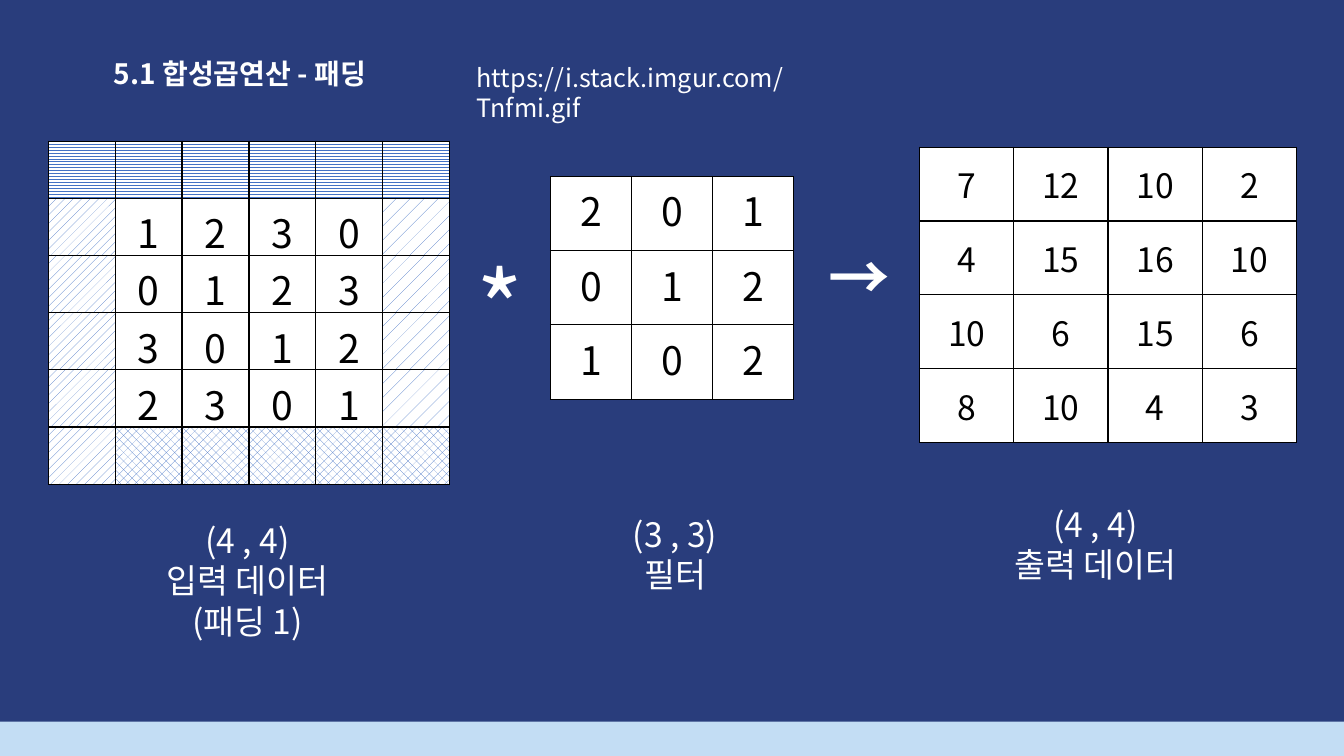
from dataclasses import dataclass
from typing import Optional

import lxml.etree
import pptx
import pptx.dml.color
import pptx.enum.dml
import pptx.enum.shapes
import pptx.enum.text
import pptx.oxml.ns
import pptx.util

EMU_PER_PX = 9144
FONT = "Noto Sans CJK KR"
COLORS = {
    "navy": "293D7C",
    "sky": "C3DDF4",
    "white": "FFFFFF",
    "black": "000000",
    "hatch": "4472C4",
}
PATTERN = pptx.enum.dml.MSO_PATTERN
ALIGN = pptx.enum.text.PP_ALIGN
ANCHOR = pptx.enum.text.MSO_ANCHOR


@dataclass(frozen=True)
class Box:
    left: int
    top: int
    width: int
    height: int


@dataclass(frozen=True)
class Label:
    box: Box
    lines: tuple[str, ...]
    size: int
    bold: bool = False
    align: Optional[ALIGN] = None


@dataclass(frozen=True)
class Matrix:
    box: Box
    rows: list[list[str]]
    size: int
    anchor: ANCHOR = ANCHOR.TOP
    padded: bool = False


def px(length: int) -> pptx.util.Emu:
    return pptx.util.Emu(length * EMU_PER_PX)


def rgb(name: str) -> pptx.dml.color.RGBColor:
    return pptx.dml.color.RGBColor.from_string(COLORS[name])


def frame(box: Box) -> tuple[pptx.util.Emu, ...]:
    return px(box.left), px(box.top), px(box.width), px(box.height)


def style(paragraph, size: int, color: str, bold: bool, align: Optional[ALIGN]) -> None:
    paragraph.alignment = align
    paragraph.font.size = pptx.util.Pt(size)
    paragraph.font.bold = bold
    paragraph.font.color.rgb = rgb(color)
    paragraph.font.name = FONT
    latin = paragraph._p.pPr.find(".//" + pptx.oxml.ns.qn("a:latin"))
    east_asian = lxml.etree.Element(pptx.oxml.ns.qn("a:ea"), typeface=FONT)
    latin.addnext(east_asian)


def draw_label(slide, label: Label) -> None:
    text = slide.shapes.add_textbox(*frame(label.box)).text_frame
    text.word_wrap = True
    text.auto_size = pptx.enum.text.MSO_AUTO_SIZE.SHAPE_TO_FIT_TEXT
    text.text = "\n".join(label.lines)
    for paragraph in text.paragraphs:
        style(paragraph, label.size, "white", label.bold, label.align)


def add_borders(cell) -> None:
    properties = cell._tc.get_or_add_tcPr()
    for side in ("lnL", "lnR", "lnT", "lnB"):
        line = lxml.etree.SubElement(properties, pptx.oxml.ns.qn(f"a:{side}"), w="12700")
        solid = lxml.etree.SubElement(line, pptx.oxml.ns.qn("a:solidFill"))
        lxml.etree.SubElement(solid, pptx.oxml.ns.qn("a:srgbClr"), val=COLORS["black"])


def padding_pattern(row: int, column: int, last: int) -> Optional[PATTERN]:
    if row == 0:
        return PATTERN.ZIG_ZAG
    if column == 0:
        return PATTERN.DASHED_UPWARD_DIAGONAL
    if row == last:
        return PATTERN.WEAVE
    return PATTERN.PERCENT_5 if column == last else None


def fill_cell(cell, pattern: Optional[PATTERN]) -> None:
    if pattern is None:
        cell.fill.solid()
        cell.fill.fore_color.rgb = rgb("white")
    else:
        cell.fill.patterned()
        cell.fill.pattern = pattern
        cell.fill.fore_color.rgb = rgb("hatch")
        cell.fill.back_color.rgb = rgb("white")


def draw_matrix(slide, matrix: Matrix) -> None:
    count = len(matrix.rows)
    table = slide.shapes.add_table(count, count, *frame(matrix.box)).table
    table.first_row = False
    table.horz_banding = False
    for r, values in enumerate(matrix.rows):
        for c, value in enumerate(values):
            cell = table.cell(r, c)
            cell.text = value
            cell.vertical_anchor = matrix.anchor
            style(cell.text_frame.paragraphs[0], matrix.size, "black", False, ALIGN.CENTER)
            add_borders(cell)
            fill_cell(cell, padding_pattern(r, c, count - 1) if matrix.padded else None)


def pad(rows: list[list[str]]) -> list[list[str]]:
    blank = [""] * (len(rows) + 2)
    return [blank, *(["", *row, ""] for row in rows), blank]


INPUT = [row.split() for row in ("1 2 3 0", "0 1 2 3", "3 0 1 2", "2 3 0 1")]
FILTER = [row.split() for row in ("2 0 1", "0 1 2", "1 0 2")]
OUTPUT = [row.split() for row in ("7 12 10 2", "4 15 16 10", "10 6 15 6", "8 10 4 3")]

LABELS = [
    Label(Box(463, 57, 407, 40), ("https://i.stack.imgur.com/Tnfmi.gif",), 18),
    Label(Box(103, 51, 310, 44), ("5.1 합성곱연산 - 패딩",), 20, bold=True),
    Label(Box(463, 239, 75, 136), ("*",), 72),
    Label(Box(812, 232, 75, 84), ("→",), 44, bold=True),
    Label(Box(128, 511, 235, 131), ("(4 , 4)", "입력 데이터(패딩 1)"), 24, align=ALIGN.CENTER),
    Label(Box(552, 505, 235, 91), ("(3 , 3)", "필터"), 24, align=ALIGN.CENTER),
    Label(Box(969, 495, 235, 91), ("(4 , 4)", "출력 데이터"), 24, align=ALIGN.CENTER),
]
MATRICES = [
    Matrix(Box(48, 140, 398, 340), pad(INPUT), 28, padded=True),
    Matrix(Box(546, 175, 241, 221), FILTER, 28),
    Matrix(Box(912, 146, 374, 293), OUTPUT, 24, ANCHOR.MIDDLE),
]


def main() -> None:
    deck = pptx.Presentation()
    deck.slide_width, deck.slide_height = px(1333), px(750)
    slide = deck.slides.add_slide(deck.slide_layouts[6])
    slide.background.fill.solid()
    slide.background.fill.fore_color.rgb = rgb("navy")
    footer = slide.shapes.add_shape(
        pptx.enum.shapes.MSO_SHAPE.RECTANGLE, *frame(Box(0, 716, 1333, 34))
    )
    footer.shadow.inherit = False
    footer.fill.solid()
    footer.fill.fore_color.rgb = rgb("sky")
    footer.line.fill.background()
    for label in LABELS:
        draw_label(slide, label)
    for matrix in MATRICES:
        draw_matrix(slide, matrix)
    deck.save("out.pptx")


if __name__ == "__main__":
    main()
